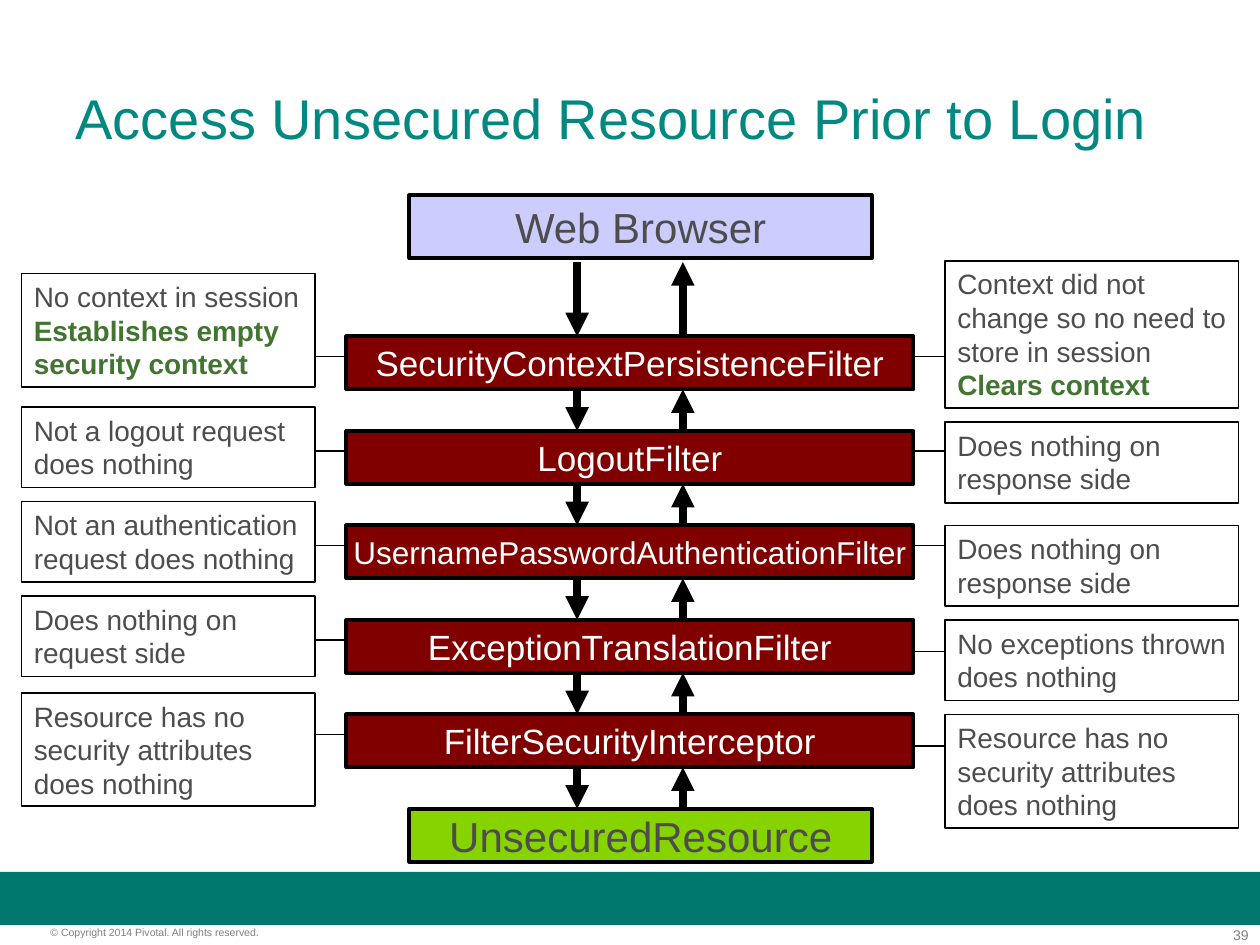
"""Build a slide that follows a request through a chain of security filters."""
from dataclasses import dataclass

import pptx
import pptx.dml.color
import pptx.enum.shapes
import pptx.enum.text
import pptx.oxml.ns
import pptx.util
from lxml import etree
from pptx.util import Inches

ALIGN = pptx.enum.text.PP_ALIGN
ANCHOR = pptx.enum.text.MSO_ANCHOR
BLACK, WHITE, GREY, GREEN = "000000", "FFFFFF", "4D4D4D", "427531"
FIRST_TOP, PITCH, BAR_HEIGHT = 2.67, 0.75, 0.42
DOWN_X, UP_X = 4.58, 5.42


@dataclass
class Bar:
    text: str
    left: float
    top: float
    width: float
    height: float
    fill: str
    color: str
    size: int


@dataclass
class Note:
    text: str
    top: float
    height: float
    line_y: float
    strong: str = ""


@dataclass
class Side:
    box_left: float
    line_from: float
    line_to: float
    notes: list[Note]


def rgb(color: str) -> pptx.dml.color.RGBColor:
    return pptx.dml.color.RGBColor.from_string(color)


def set_font(font, size: float, color: str) -> None:
    font.name = "Arial"
    font.size = pptx.util.Pt(size)
    font.color.rgb = rgb(color)


def add_rect(s, left: float, top: float, width: float, height: float,
             fill: str, line_width: float = 0):
    sp = s.shapes.add_shape(pptx.enum.shapes.MSO_SHAPE.RECTANGLE, Inches(left),
                            Inches(top), Inches(width), Inches(height))
    sp.shadow.inherit = False
    sp.fill.solid()
    sp.fill.fore_color.rgb = rgb(fill)
    if line_width:
        sp.line.color.rgb = rgb(BLACK)
        sp.line.width = pptx.util.Pt(line_width)
    else:
        sp.line.fill.background()
    return sp


def add_line(s, x1: float, y1: float, x2: float, y2: float,
             width: float, arrow: bool = False) -> None:
    cxn = s.shapes.add_connector(pptx.enum.shapes.MSO_CONNECTOR.STRAIGHT,
                                 Inches(x1), Inches(y1), Inches(x2), Inches(y2))
    cxn.line.color.rgb = rgb(BLACK)
    cxn.line.width = pptx.util.Pt(width)
    if arrow:
        etree.SubElement(cxn.line._get_or_add_ln(),
                         pptx.oxml.ns.qn("a:tailEnd"), type="triangle")
    etree.SubElement(cxn._element.spPr, pptx.oxml.ns.qn("a:effectLst"))


def add_bar(s, bar: Bar) -> None:
    sp = add_rect(s, bar.left, bar.top, bar.width, bar.height, bar.fill, 2.25)
    tf = sp.text_frame
    tf.word_wrap = False
    tf.vertical_anchor = ANCHOR.MIDDLE
    p = tf.paragraphs[0]
    p.text = bar.text
    p.alignment = ALIGN.CENTER
    set_font(p.font, bar.size, bar.color)


def add_note(s, side: Side, note: Note) -> None:
    sp = add_rect(s, side.box_left, note.top, 2.33, note.height, WHITE, 1)
    tf = sp.text_frame
    tf.word_wrap = True
    tf.vertical_anchor = ANCHOR.TOP
    p = tf.paragraphs[0]
    p.alignment = ALIGN.LEFT
    set_font(p.font, 16, GREY)
    p.add_run().text = note.text
    if note.strong:
        r = p.add_run()
        r.text = note.strong
        r.font.bold = True
        r.font.color.rgb = rgb(GREEN)
    add_line(s, side.line_from, note.line_y, side.line_to, note.line_y, 0.75)


def add_label(s, text: str, left: float, width: float, height: float,
              size: float, align) -> None:
    tf = s.shapes.add_textbox(Inches(left), Inches(7.35), Inches(width),
                              Inches(height)).text_frame
    tf.word_wrap = True
    tf.margin_left = tf.margin_right = tf.margin_top = tf.margin_bottom = 0
    p = tf.paragraphs[0]
    p.text = text
    p.alignment = align
    set_font(p.font, size, "7F7F7F")


def add_title(s, text: str) -> None:
    sp = s.shapes.title
    sp.left, sp.top, sp.width, sp.height = map(Inches, (0.5, 0.61, 9, 0.64))
    tf = sp.text_frame
    tf.auto_size = pptx.enum.text.MSO_AUTO_SIZE.NONE
    tf.vertical_anchor = ANCHOR.MIDDLE
    p = tf.paragraphs[0]
    p.text = text
    p.alignment = ALIGN.LEFT
    set_font(p.font, 32, "008881")


FILTERS = [
    "SecurityContextPersistenceFilter",
    "LogoutFilter",
    "UsernamePasswordAuthenticationFilter",
    "ExceptionTranslationFilter",
    "FilterSecurityInterceptor",
]
ENDS = [
    Bar("Web Browser", 3.25, 1.55, 3.67, 0.5, "CCCCFF", GREY, 24),
    Bar("UnsecuredResource", 3.25, 6.42, 3.67, BAR_HEIGHT, "87D300", GREY, 24),
]
SIDES = [
    Side(0.17, 2.5, 2.75, [
        Note("No context in session ", 2.17, 0.9, 2.83,
             "Establishes empty security context"),
        Note("Not a logout request does nothing", 3.23, 0.64, 3.58),
        Note("Not an authentication request does nothing", 3.98, 0.64, 4.33),
        Note("Does nothing on request side", 4.73, 0.64, 5.08),
        Note("Resource has no security attributes does nothing", 5.5, 0.9, 5.83),
    ]),
    Side(7.5, 7.25, 7.5, [
        Note("Context did not change so no need to store in session ",
             2.07, 1.17, 2.83, "Clears context"),
        Note("Does nothing on response side", 3.35, 0.64, 3.58),
        Note("Does nothing on response side", 4.17, 0.64, 4.33),
        Note("No exceptions thrown does nothing", 4.92, 0.64, 5.17),
        Note("Resource has no security attributes does nothing", 5.67, 0.9, 5.92),
    ]),
]


def main() -> None:
    prs = pptx.Presentation()
    prs.slide_width, prs.slide_height = Inches(10), Inches(7.5)
    s = prs.slides.add_slide(prs.slide_layouts[5])
    add_rect(s, 0, 6.92, 10, 0.42, "00786E")
    add_label(s, "39", 9.33, 0.58, 0.13, 8, ALIGN.RIGHT)
    add_label(s, "© Copyright 2014 Pivotal. All rights reserved.",
              0.4, 2.49, 0.1, 6, ALIGN.LEFT)
    add_title(s, "Access Unsecured Resource Prior to Login")
    for bar in ENDS:
        add_bar(s, bar)
    gaps = [(2.08, FIRST_TOP)]
    for i, name in enumerate(FILTERS):
        top = FIRST_TOP + i * PITCH
        size = 18 if len(name) > 35 else 20
        add_bar(s, Bar(name, 2.75, top, 4.5, BAR_HEIGHT, "800000", WHITE, size))
        gaps.append((top + BAR_HEIGHT, top + PITCH))
    for upper, lower in gaps:
        add_line(s, DOWN_X, upper, DOWN_X, lower, 4.5, arrow=True)
        add_line(s, UP_X, lower, UP_X, upper, 4.5, arrow=True)
    for side in SIDES:
        for note in side.notes:
            add_note(s, side, note)
    prs.save("out.pptx")


if __name__ == "__main__":
    main()
